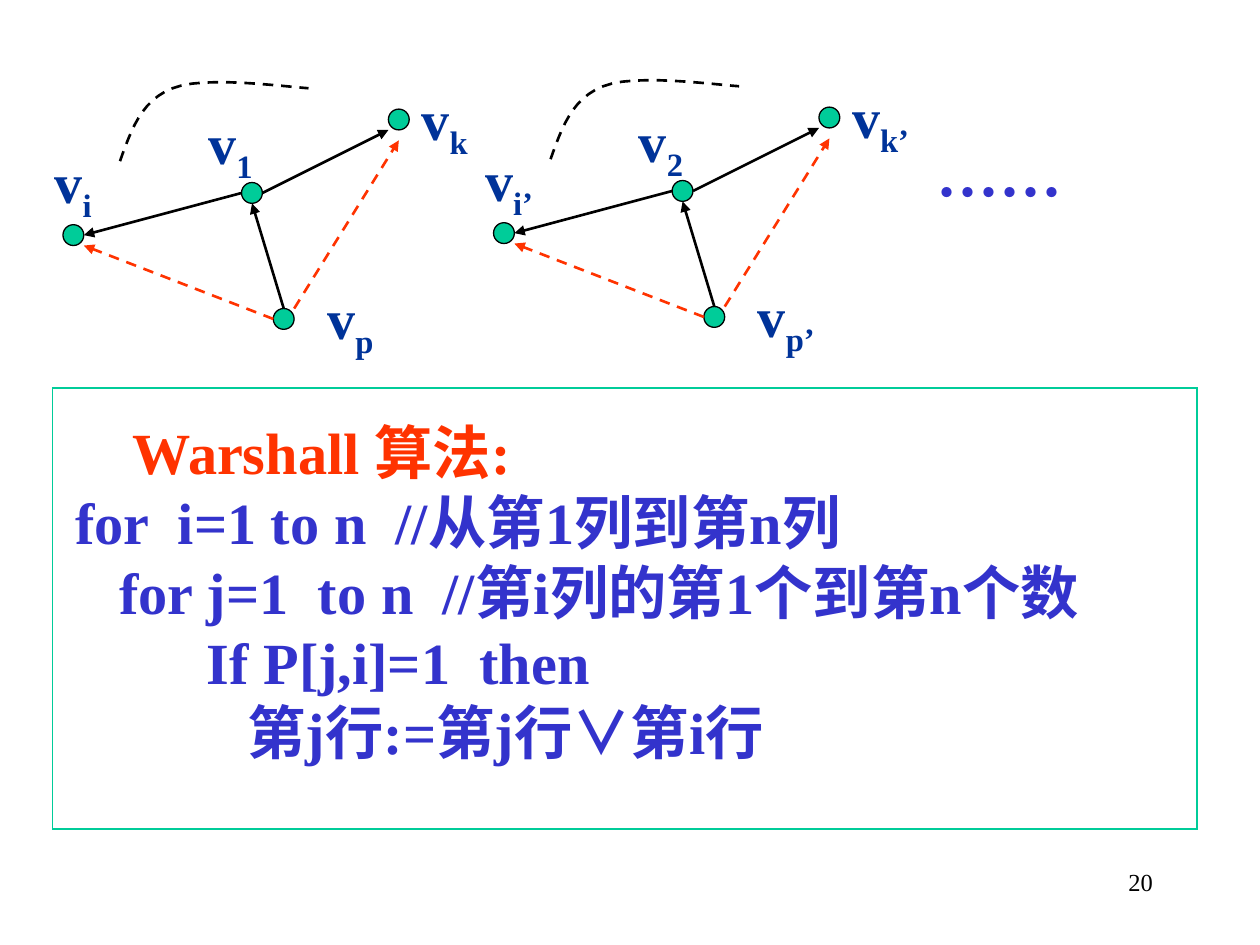
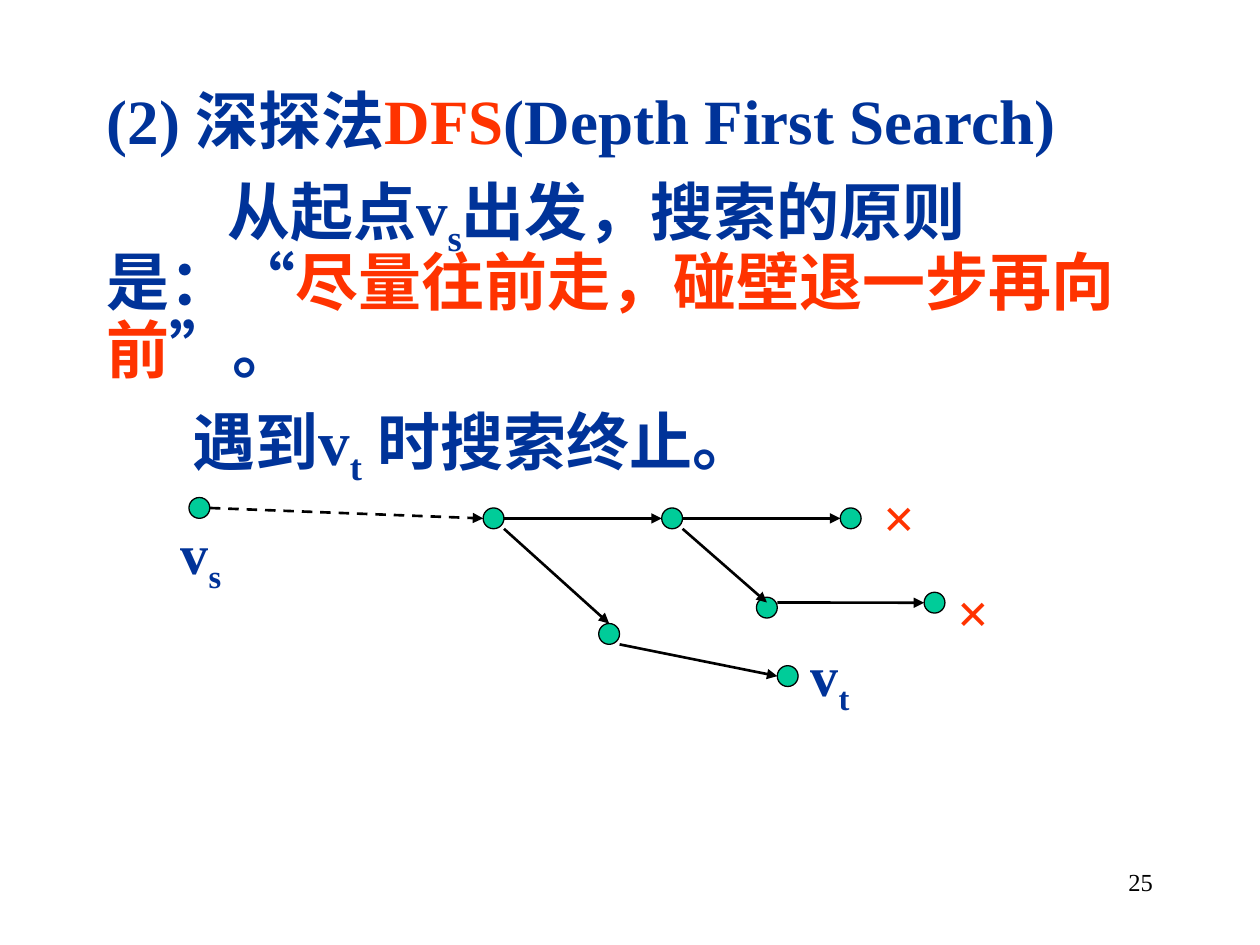
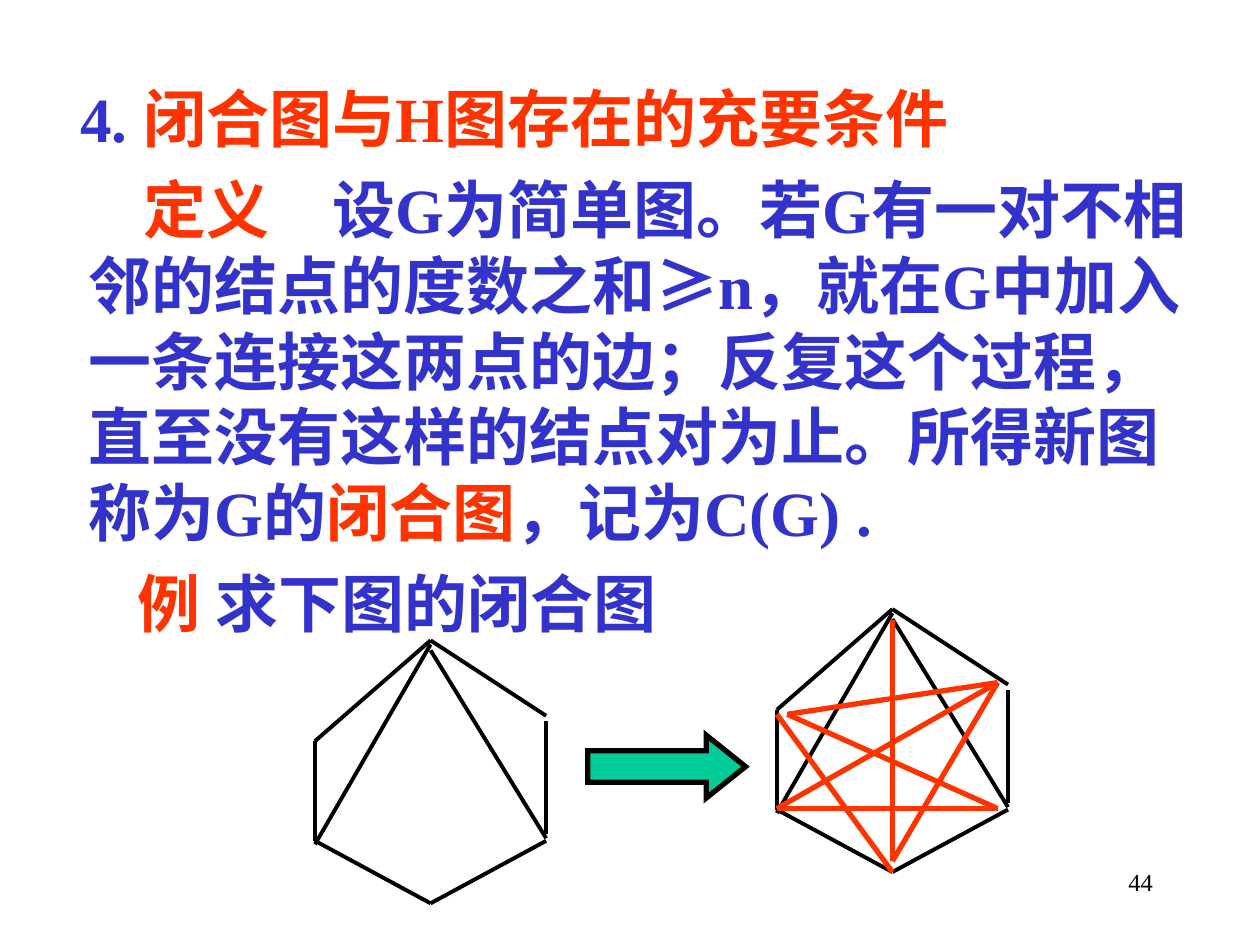
import pptx
import pptx.dml.color
import pptx.enum.dml
import pptx.enum.shapes
import pptx.enum.text
import pptx.oxml.ns
import pptx.util
from lxml import etree
from pptx.util import Cm

LATIN = "Times New Roman"
CJK = "Noto Sans CJK SC"
BLACK, RED, GREEN, NAVY, BLUE = "000000", "FF3300", "00CC99", "003399", "3333CC"
LINE_BREAK = "\n"
DIAMETER = 0.42
ANCHORS = {
    "top": (0.5, 0), "left": (0, 0.5), "right": (1, 0.5), "bottom": (0.5, 1),
    "top right": (1, 0), "bottom left": (0, 1), "bottom right": (1, 1),
    "below": (0.5, 1.5), "inside": (0.5, 0.25), "upper right": (1, 0.25),
}


def rgb(value):
    """Turn a hex string into a colour."""
    return pptx.dml.color.RGBColor.from_string(value)


def add_element(parent, tag, **attributes):
    """Append a DrawingML element to its parent."""
    return etree.SubElement(parent, pptx.oxml.ns.qn(tag), attributes)


def red(text):
    """Describe a run in the emphasis colour."""
    return text, RED, False


def sub(text):
    """Describe a subscript run."""
    return text, None, True


def add_paragraph(frame, runs, size, color, font=LATIN, left=0, first=0,
                  before=0, spacing=None, align=None):
    """Fill the next paragraph of a text frame with runs."""
    paragraph = frame.paragraphs[0]
    if paragraph.runs:
        paragraph = frame.add_paragraph()
    paragraph.alignment = align
    paragraph.space_before = pptx.util.Pt(before)
    paragraph.line_spacing = spacing
    properties = paragraph._p.get_or_add_pPr()
    properties.set("marL", str(Cm(left)))
    properties.set("indent", str(Cm(first)))
    paragraph.font.size = pptx.util.Pt(size)
    paragraph.font.bold = color != BLACK
    paragraph.font.color.rgb = rgb(color)
    paragraph.font.name = font
    add_element(paragraph.font._element, "a:ea", typeface=CJK)
    for item in runs:
        if item == LINE_BREAK:
            paragraph.add_line_break()
            continue
        text, run_color, lowered = (item, None, False) if isinstance(item, str) else item
        run = paragraph.add_run()
        run.text = text
        if run_color:
            run.font.color.rgb = rgb(run_color)
        if lowered:
            run._r.get_or_add_rPr().set("baseline", "-25000")


def add_text_frame(slide, left, top, width, height):
    """Add a wrapping text box and return its frame."""
    frame = slide.shapes.add_textbox(Cm(left), Cm(top), Cm(width), Cm(height)).text_frame
    frame.word_wrap = True
    return frame


def add_label(slide, left, top, runs, width=1.9, size=32, color=NAVY, font=LATIN):
    """Add a short label in a diagram."""
    frame = add_text_frame(slide, left, top, width, 1.8)
    add_paragraph(frame, runs, size, color, font)


def add_shape(slide, kind, left, top, width, height, fill, line, weight):
    """Add a preset shape with a plain fill and a mitred outline."""
    shape = slide.shapes.add_shape(kind, Cm(left), Cm(top), Cm(width), Cm(height))
    shape.shadow.inherit = False
    if fill:
        shape.fill.solid()
        shape.fill.fore_color.rgb = rgb(fill)
    else:
        shape.fill.background()
    shape.line.color.rgb = rgb(line)
    shape.line.width = pptx.util.Pt(weight)
    add_element(shape.line._get_or_add_ln(), "a:miter", lim="800000")
    return shape


def add_line(slide, start, end, color=BLACK, weight=1.5, dashed=False, arrow=False):
    """Draw a straight line between two points in centimetres."""
    line = slide.shapes.add_connector(
        pptx.enum.shapes.MSO_CONNECTOR.STRAIGHT, *[Cm(value) for value in (*start, *end)])
    line.line.color.rgb = rgb(color)
    line.line.width = pptx.util.Pt(weight)
    if dashed:
        line.line.dash_style = pptx.enum.dml.MSO_LINE.DASH
    if arrow:
        add_element(line.line._get_or_add_ln(), "a:tailEnd", type="triangle")
    add_element(line._element.spPr, "a:effectLst")


def add_graph(slide, nodes, edges, dx=0, dy=0):
    """Draw round nodes and the arrows between their anchors."""
    def anchor(name, side):
        return [base + shift + DIAMETER * part
                for base, shift, part in zip(nodes[name], (dx, dy), ANCHORS[side])]

    for left, top in nodes.values():
        add_shape(slide, pptx.enum.shapes.MSO_SHAPE.OVAL, left + dx, top + dy,
                  DIAMETER, DIAMETER, GREEN, BLACK, 0.75)
    for source, out, target, into, color, dashed in edges:
        add_line(slide, anchor(source, out), anchor(target, into), color,
                 dashed=dashed, arrow=True)


def add_dashed_curve(slide, start, segments, dx, dy, steps=12):
    """Trace cubic curve segments with a dashed outline."""
    points = []
    first = start
    for second, third, last in segments:
        for step in range(1, steps + 1):
            t = step / steps
            weights = ((1 - t) ** 3, 3 * t * (1 - t) ** 2, 3 * t ** 2 * (1 - t), t ** 3)
            corners = (first, second, third, last)
            x, y = (sum(w * corner[axis] for w, corner in zip(weights, corners))
                    for axis in (0, 1))
            points.append((Cm(x + dx), Cm(y + dy)))
        first = last
    builder = slide.shapes.build_freeform(Cm(start[0] + dx), Cm(start[1] + dy))
    builder.add_line_segments(points, close=False)
    curve = builder.convert_to_shape()
    curve.shadow.inherit = False
    curve.fill.background()
    curve.line.color.rgb = rgb(BLACK)
    curve.line.width = pptx.util.Pt(1.5)
    curve.line.dash_style = pptx.enum.dml.MSO_LINE.DASH


def add_numbered_slide(presentation, number):
    """Add a blank slide with its page number."""
    slide = presentation.slides.add_slide(presentation.slide_layouts[6])
    frame = add_text_frame(slide, 18.2, 17.36, 5.29, 1.27)
    add_paragraph(frame, [number], 14, BLACK, align=pptx.enum.text.PP_ALIGN.RIGHT)
    return slide


def build_warshall(presentation):
    """Build the slide with the Warshall algorithm."""
    slide = add_numbered_slide(presentation, "20")
    frame = add_text_frame(slide, 1.27, 8.26, 23.29, 9.09)
    lines = [
        (1.16, [red("Warshall 算法:")]),
        (0, ["for  i=1 to n  //从第1列到第n列"]),
        (0.88, ["for j=1  to n  //第i列的第1个到第n个数"]),
        (2.65, ["If P[j,i]=1  then"]),
        (3.47, ["第j行:=第j行∨第i行"]),
    ]
    for indent, runs in lines:
        add_paragraph(frame, runs, 33.3, BLUE, left=indent, spacing=pptx.util.Pt(40))

    nodes = {"p": (5.51, 6.22), "i": (1.27, 4.53), "k": (7.83, 2.2), "middle": (4.87, 3.68)}
    edges = [
        ("p", "top", "middle", "bottom", BLACK, False),
        ("middle", "right", "k", "bottom left", BLACK, False),
        ("middle", "left", "i", "right", BLACK, False),
        ("p", "left", "i", "bottom right", RED, True),
        ("p", "top right", "k", "below", RED, True),
    ]
    label_places = [(3.95, 2.06), (0.85, 2.84), (6.35, 5.59), (8.25, 1.57)]
    curve = [((2.64, 2.64), (2.84, 2.03), (3.48, 1.78)),
             ((4.11, 1.52), (5.74, 1.75), (6.22, 1.78))]
    for dx, dy, names in ((0, 0, ("1", "i", "p", "k")),
                          (8.68, -0.04, ("2", "i’", "p’", "k’"))):
        add_graph(slide, nodes, edges, dx, dy)
        for (left, top), name in zip(label_places, names):
            add_label(slide, left + dx, top + dy, ["v", sub(name)], width=1.7)
        add_dashed_curve(slide, (2.42, 3.25), curve, dx, dy)
    add_label(slide, 18.63, 2.97, ["……"], 4.45, 36, BLUE, CJK)
    add_shape(slide, pptx.enum.shapes.MSO_SHAPE.RECTANGLE,
              1.06, 7.83, 23.07, 8.89, None, GREEN, 1)


def build_depth_first(presentation):
    """Build the slide on depth first search."""
    slide = add_numbered_slide(presentation, "25")
    frame = add_text_frame(slide, 1.9, 1.69, 21.59, 6.77)
    style = {"size": 36, "color": NAVY, "spacing": 0.9}
    add_paragraph(frame, ["(2) 深探法", red("DFS"), "(Depth First Search)"], **style)
    add_paragraph(frame, ["从起点v", sub("s"), "出发，搜索的原则", LINE_BREAK, "是：“",
                          red("尽量往前走，碰壁退一步再向前"), "”。"],
                  first=2.43, before=9, **style)
    add_paragraph(frame, ["遇到v", sub("t"), " 时搜索终止。"], first=1.73, before=9, **style)

    nodes = {
        "start": (3.81, 10.03), "fork": (9.74, 10.24), "second fork": (13.34, 10.24),
        "dead end": (16.94, 10.24), "branch": (15.25, 12.04),
        "second dead end": (18.63, 11.94), "retry": (12.07, 12.57), "goal": (15.67, 13.42),
    }
    edges = [
        ("start", "right", "fork", "left", BLACK, True),
        ("fork", "right", "second fork", "left", BLACK, False),
        ("second fork", "right", "dead end", "left", BLACK, False),
        ("second fork", "bottom right", "branch", "inside", BLACK, False),
        ("branch", "upper right", "second dead end", "left", BLACK, False),
        ("fork", "bottom right", "retry", "top", BLACK, False),
        ("retry", "bottom right", "goal", "left", BLACK, False),
    ]
    add_graph(slide, nodes, edges)
    add_label(slide, 3.39, 10.33, ["v", sub("s")])
    add_label(slide, 16.09, 12.78, ["v", sub("t")])
    for left, top in ((17.57, 9.61), (19.05, 11.51)):
        add_label(slide, left, top, ["×"], color=RED)


def add_segments(slide, left, top, segments, color, weight):
    """Draw line segments given relative to a corner."""
    for x1, y1, x2, y2 in segments:
        add_line(slide, (left + x1, top + y1), (left + x2, top + y2), color, weight)


def build_closure(presentation):
    """Build the slide on the closure of a graph."""
    slide = add_numbered_slide(presentation, "44")
    frame = add_text_frame(slide, 1.27, 1.48, 23.07, 12.49)
    style = {"size": 36, "color": BLUE, "left": 0.26, "before": 9,
             "spacing": pptx.util.Pt(43.2)}
    add_paragraph(frame, ["4. ", red("闭合图与H图存在的充要条件")], first=-0.16, **style)
    add_paragraph(frame, [
        red("定义"),
        "　设G为简单图。若G有一对不相邻的结点的度数之和≥n，就在G中加入一条连接这两点的边；"
        "反复这个过程，直至没有这样的结点对为止。所得新图称为G的",
        red("闭合图"), "，记为C(G) ."], first=1.11, **style)
    add_paragraph(frame, [red("例"), " 求下图的闭合图"], first=1, **style)

    graph_edges = [
        (2.33, 0, 0, 2.03), (0, 2.03, 0, 4.04), (0, 4.04, 2.33, 5.3), (2.33, 0, 4.66, 1.52),
        (4.66, 1.63, 4.66, 3.91), (4.66, 4.04, 2.33, 5.3),
        (2.33, 0.08, 0, 4.11), (2.33, 0.2, 4.66, 3.99),
    ]
    added_edges = [
        (0, 2.12, 2.33, 5.3), (0.21, 2.12, 4.45, 1.48), (2.33, 0.21, 2.33, 5.08),
        (0, 4.02, 4.45, 4.02), (0.21, 2.12, 4.45, 4.02), (4.45, 1.48, 0, 4.02),
        (2.33, 5.08, 4.45, 1.48),
    ]
    closure = (15.66, 12.28)
    for left, top in ((6.35, 12.91), closure):
        add_segments(slide, left, top, graph_edges, BLACK, 2.25)
    add_segments(slide, *closure, added_edges, RED, 3)
    arrow = add_shape(slide, pptx.enum.shapes.MSO_SHAPE.RIGHT_ARROW,
                      11.85, 14.82, 3.18, 1.27, GREEN, BLACK, 3)
    arrow.adjustments[1] = 0.625


def main():
    """Build and save the presentation."""
    presentation = pptx.Presentation()
    presentation.slide_width = Cm(25.4)
    presentation.slide_height = Cm(19.05)
    build_warshall(presentation)
    build_depth_first(presentation)
    build_closure(presentation)
    presentation.save("out.pptx")


if __name__ == "__main__":
    main()
